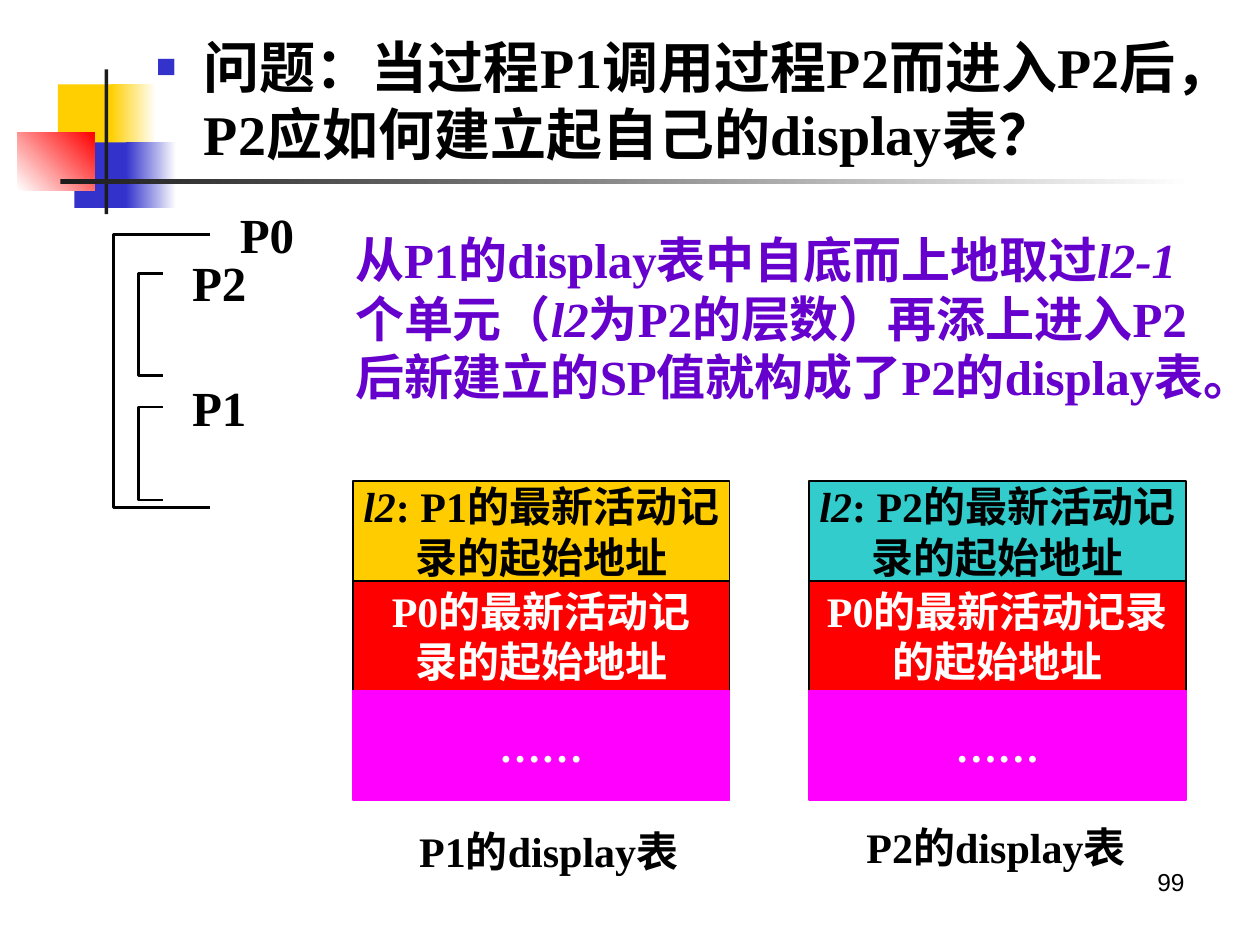
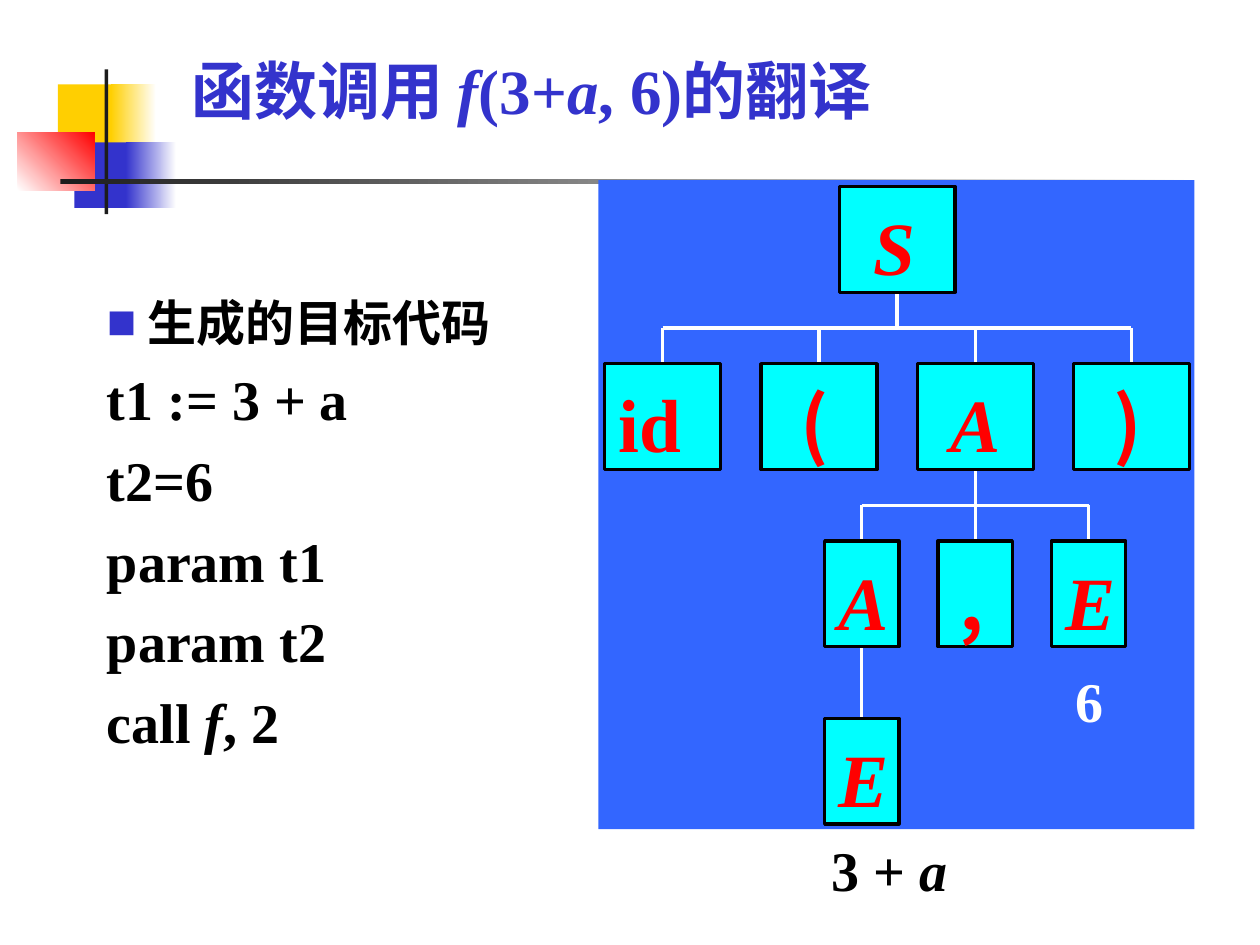
from dataclasses import dataclass

from lxml.etree import SubElement
from pptx import Presentation
from pptx.dml.color import RGBColor
from pptx.enum.shapes import MSO_CONNECTOR as Connector, MSO_SHAPE as Preset
from pptx.enum.text import MSO_ANCHOR as Anchor, PP_ALIGN as Align
from pptx.oxml.ns import qn
from pptx.util import Inches, Pt


@dataclass(frozen=True)
class Theme:
    latin: str = "Times New Roman"
    chinese: str = "Noto Sans CJK SC"
    plain: str = "Arial"
    black: str = "000000"
    white: str = "FFFFFF"
    ink: str = "1C1C1C"
    blue: str = "3333CC"
    yellow: str = "FFCF01"
    red: str = "FF0000"
    violet: str = "6600CC"
    gold: str = "FFCC00"
    teal: str = "33CCCC"
    magenta: str = "FF00FF"
    panel: str = "3366FF"
    cyan: str = "00FFFF"
    title: int = 36
    large: int = 32
    medium: int = 28
    cell: int = 24
    node: int = 43
    footer: int = 14


THEME = Theme()

# Text between asterisks is italic.

# Fill is one colour or (from, to, angle)
MOTIF = [
    ((0.46, 0.67, 0.48, 0.52), THEME.yellow),
    ((0.88, 0.67, 0.36, 0.52), (THEME.yellow, THEME.white, 0)),
    ((0.59, 1.13, 0.46, 0.52), THEME.blue),
    ((1.00, 1.13, 0.40, 0.52), (THEME.blue, THEME.white, 0)),
    ((0.14, 1.05, 0.61, 0.46), (THEME.white, THEME.red, 45)),
    ((0.83, 0.55, 0.03, 1.15), THEME.ink),
    ((0.48, 1.42, 9.00, 0.04), (THEME.ink, THEME.white, 0)),
]

QUESTION = "问题：当过程P1调用过程P2而进入P2后，P2应如何建立起自己的display表？"
ANSWER = ("从P1的display表中自底而上地取过*l2-1*个单元（*l2*为P2的层数）"
          "再添上进入P2后新建立的SP值就构成了P2的display表。")
PAGE_NUMBER = "99"

# Left, top, arm length, height of each nesting bracket
BRACKETS = [(0.9, 1.86, 0.77, 2.17), (1.1, 2.17, 0.19, 0.81), (1.1, 3.23, 0.19, 0.74)]
PROCEDURES = [("P0", 1.67, 1.61), ("P2", 1.29, 1.99), ("P1", 1.29, 2.98)]

STACK_TOP, STACK_WIDTH = 3.82, 2.99
ROW_HEIGHTS = [0.79, 0.87, 0.87]
REST = (["……"], THEME.magenta, THEME.white, THEME.magenta)
# Stack: left, caption, caption place, rows of (lines, fill, text colour, border)
STACKS = [
    (2.8, "P1的display表", (3.11, 6.5), [
        (["*l2*: P1的最新活动记", "录的起始地址"], THEME.gold, THEME.black, THEME.black),
        (["P0的最新活动记", "录的起始地址"], THEME.red, THEME.white, THEME.black),
        REST]),
    (6.42, "P2的display表", (6.66, 6.47), [
        (["*l2*: P2的最新活动记", "录的起始地址"], THEME.teal, THEME.black, THEME.black),
        (["P0的最新活动记录", "的起始地址"], THEME.red, THEME.white, THEME.black),
        REST]),
]

CALL_TITLE = "函数调用 *f*(3+*a*, 6)的翻译"
CODE_HEADING = " 生成的目标代码"
CODE = ["t1 := 3 + a", "t2=6", "param t1", "param t2", "call *f*, 2"]

# Node: label, indent of the label, children
PARSE_TREE = ("*S*", 0.27, [
    ("id", 0.11, []),
    ("(", 0.31, []),
    ("*A*", 0.26, [
        ("*A*", 0.11, [("*E*", 0.11, [])]),
        (",", 0.17, []),
        ("*E*", 0.11, []),
    ]),
    (")", 0.32, []),
])
PANEL = (4.75, 1.43, 4.73, 5.15)
ROOT_CENTRE, ROOT_TOP = 7.12, 1.48
LEVEL_STEP = 4.22 / 3
NODE_HEIGHT = 0.84
NODE_WIDTHS = [0.92, 0.92, 0.59, 0.59]
SIBLING_STEPS = [0, 1.24, 0.9, 0]


def rgb(code):
    return RGBColor.from_string(code)


def add_bullet(para, percent):
    props = para._p.get_or_add_pPr()
    colour = SubElement(props, qn("a:buClr"))
    SubElement(colour, qn("a:srgbClr"), val=THEME.blue)
    SubElement(props, qn("a:buSzPct"), val=str(percent * 1000))
    SubElement(props, qn("a:buFont"), typeface=THEME.plain)
    SubElement(props, qn("a:buChar"), char="■")


def write_para(para, text, size=THEME.cell, colour=THEME.black, font=THEME.latin,
               bold=True, align=None, spacing=None, bullet=None, hanging=0):
    para.alignment = align
    para.line_spacing = spacing
    if hanging:
        props = para._p.get_or_add_pPr()
        props.set("marL", str(Inches(hanging)))
        props.set("indent", str(-Inches(hanging)))
    if bullet:
        add_bullet(para, bullet)
    for index, part in enumerate(text.split("*")):
        if not part:
            continue
        span = para.add_run()
        span.text = part
        span.font.size = Pt(size)
        span.font.bold = bold
        span.font.italic = index % 2 == 1
        span.font.color.rgb = rgb(colour)
        span.font.name = font
        SubElement(span._r.get_or_add_rPr(), qn("a:ea"), typeface=THEME.chinese)


def write_lines(shape, lines, anchor=Anchor.TOP, wrap=True,
                insets=(0.1, 0.05, 0.1, 0.05), **style):
    """Fill a shape with paragraphs; a line is text or (text, own format)."""
    frame = shape.text_frame
    frame.word_wrap = wrap
    frame.vertical_anchor = anchor
    (frame.margin_left, frame.margin_top,
     frame.margin_right, frame.margin_bottom) = map(Inches, insets)
    for index, line in enumerate(lines):
        para = frame.add_paragraph() if index else frame.paragraphs[0]
        text, own = (line, {}) if isinstance(line, str) else line
        write_para(para, text, **{**style, **own})


def add_text(page, place, *lines, **style):
    box = page.shapes.add_textbox(*map(Inches, place))
    write_lines(box, lines, **style)


def add_rect(page, place, fill, border=None, weight=1):
    rect = page.shapes.add_shape(Preset.RECTANGLE, *map(Inches, place))
    rect.shadow.inherit = False
    if isinstance(fill, str):
        rect.fill.solid()
        rect.fill.fore_color.rgb = rgb(fill)
    else:
        *colours, angle = fill
        rect.fill.gradient()
        rect.fill.gradient_angle = angle
        for stop, colour in zip(rect.fill.gradient_stops, colours):
            stop.color.rgb = rgb(colour)
    if border:
        rect.line.color.rgb = rgb(border)
        rect.line.width = Pt(weight)
    else:
        rect.line.fill.background()
    return rect


def add_line(page, *ends):
    line = page.shapes.add_connector(Connector.STRAIGHT, *map(Inches, ends))
    line.line.color.rgb = rgb(THEME.white)
    line.line.width = Pt(1.87)
    SubElement(line._element.spPr, qn("a:effectLst"))


def add_bracket(page, left, top, arm, height):
    right, bottom = left + arm, top + height
    corners = [(Inches(x), Inches(y)) for x, y in
               [(right, top), (left, top), (left, bottom), (right, bottom)]]
    builder = page.shapes.build_freeform(*corners[0])
    builder.add_line_segments(corners[1:], close=False)
    bracket = builder.convert_to_shape()
    bracket.shadow.inherit = False
    bracket.fill.background()
    bracket.line.color.rgb = rgb(THEME.black)
    bracket.line.width = Pt(1.5)


def add_stack(page, left, caption, caption_place, rows):
    top = STACK_TOP
    for (lines, fill, colour, border), height in zip(rows, ROW_HEIGHTS):
        cell = add_rect(page, (left, top, STACK_WIDTH, height), fill, border)
        write_lines(cell, lines, anchor=Anchor.MIDDLE, wrap=False,
                    align=Align.CENTER, colour=colour)
        top += height
    add_text(page, (*caption_place, 2.49, 0.5), caption, wrap=False, align=Align.CENTER)


def add_tree(page, node, centre, level=0):
    """Draw a node, the branches below it and its children, centred under it."""
    label, indent, children = node
    top = ROOT_TOP + level * LEVEL_STEP
    bottom, next_top = top + NODE_HEIGHT, top + LEVEL_STEP
    if children:
        middle = (len(children) - 1) / 2
        centres = [centre + (index - middle) * SIBLING_STEPS[level + 1]
                   for index in range(len(children))]
        fork = (bottom + next_top) / 2
        add_line(page, centre, bottom, centre, fork)
        if len(children) > 1:
            add_line(page, centres[0], fork, centres[-1], fork)
        for child, child_centre in zip(children, centres):
            add_line(page, child_centre, fork, child_centre, next_top)
            add_tree(page, child, child_centre, level + 1)
    width = NODE_WIDTHS[level]
    box = add_rect(page, (centre - width / 2, top, width, NODE_HEIGHT),
                   THEME.cyan, THEME.black, 1.87)
    write_lines(box, [label], insets=(indent, 0.11, 0, 0), align=Align.LEFT,
                size=THEME.node, colour=THEME.red,
                font=THEME.chinese if label in "(,)" else THEME.latin)


def add_page(deck):
    page = deck.slides.add_slide(deck.slide_layouts[6])
    for place, fill in MOTIF:
        add_rect(page, place, fill)
    return page


def build_display_page(deck):
    page = add_page(deck)
    add_text(page, (7.17, 6.83, 2.33, 0.52), PAGE_NUMBER, size=THEME.footer,
             font=THEME.plain, bold=False, align=Align.RIGHT)
    add_text(page, (1.14, 0.21, 8.67, 1.25), QUESTION, size=THEME.large,
             bullet=60, hanging=0.38)
    for bracket in BRACKETS:
        add_bracket(page, *bracket)
    for name, left, top in PROCEDURES:
        add_text(page, (left, top, 0.9, 0.5), name, size=THEME.medium,
                 anchor=Anchor.MIDDLE, wrap=False, align=Align.CENTER)
    for stack in STACKS:
        add_stack(page, *stack)
    add_text(page, (2.72, 1.77, 7.09, 1.97), ANSWER, size=THEME.medium,
             colour=THEME.violet)


def build_call_page(deck):
    page = add_page(deck)
    add_text(page, (1.42, 0.36, 5.98, 0.7), CALL_TITLE, size=THEME.title,
             colour=THEME.blue)
    heading = (CODE_HEADING, {"size": THEME.medium, "bullet": 100})
    add_text(page, (0.75, 2.18, 3.62, 3.86), heading, *CODE, size=THEME.large,
             spacing=1.2)
    add_rect(page, PANEL, THEME.panel)
    add_tree(page, PARSE_TREE, ROOT_CENTRE)
    add_text(page, (8.44, 5.24, 0.42, 0.64), "6", size=THEME.large,
             colour=THEME.white, wrap=False)
    add_text(page, (6.5, 6.58, 1.12, 0.64), "3 + *a*", size=THEME.large, wrap=False)


def main():
    deck = Presentation()
    deck.slide_width, deck.slide_height = Inches(10), Inches(7.5)
    build_display_page(deck)
    build_call_page(deck)
    deck.save("out.pptx")


if __name__ == "__main__":
    main()
